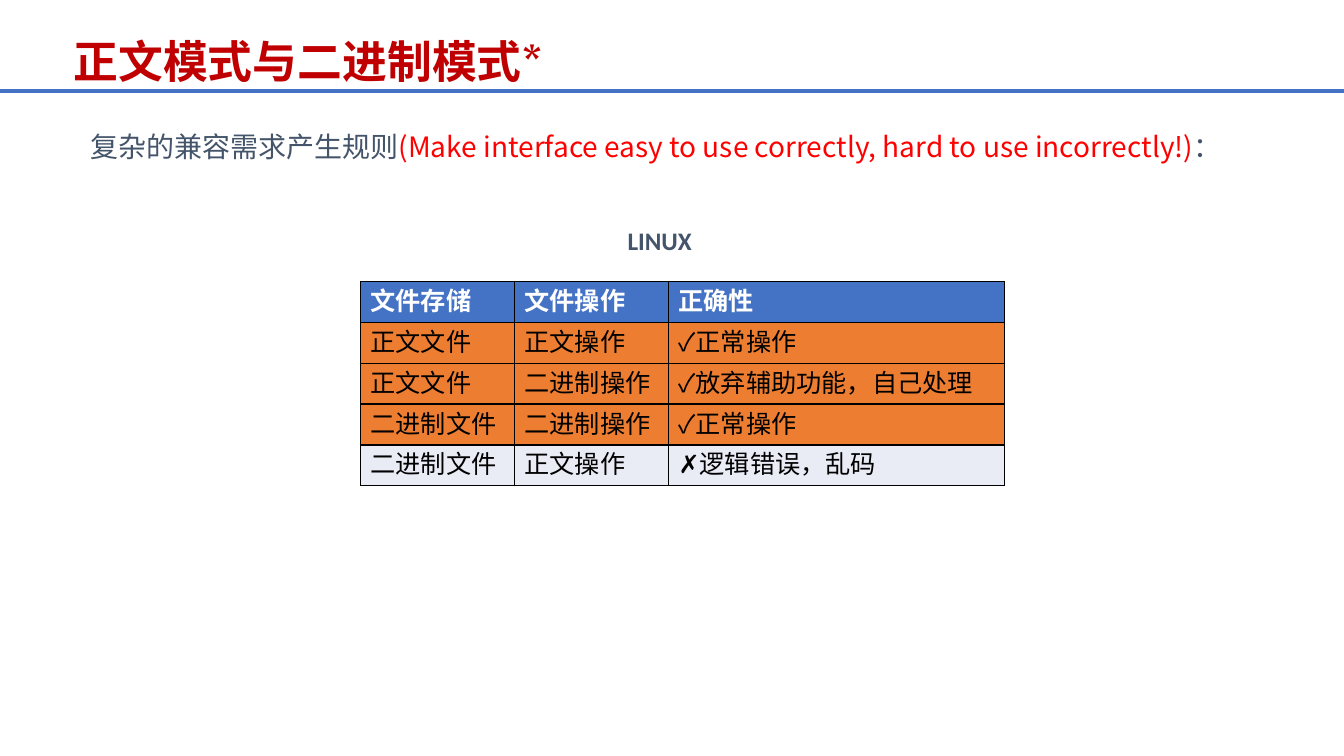
from pptx import Presentation
from pptx.dml.color import RGBColor
from pptx.enum.shapes import MSO_CONNECTOR
from pptx.enum.text import MSO_ANCHOR, PP_ALIGN
from pptx.oxml import parse_xml
from pptx.oxml.ns import nsdecls
from pptx.util import Pt

BLUE, SLATE, ORANGE = "4472C4", "44546A", "ED7D31"


def color(code):
    return RGBColor.from_string(code)


def write(frame, *runs, size=18, face="Calibri", bold=False,
          align=PP_ALIGN.LEFT, anchor=MSO_ANCHOR.TOP):
    frame.word_wrap = True
    frame.vertical_anchor = anchor
    para = frame.paragraphs[0]
    para.alignment = align
    for text, code in runs:
        run = para.add_run()
        run.text = text
        font = run.font
        font.size, font.name, font.bold = Pt(size), face, bold
        font.color.rgb = color(code)
        # East Asian text uses the same face
        run._r.get_or_add_rPr().append(
            parse_xml(f'<a:ea {nsdecls("a")} typeface="{face}"/>'))


deck = Presentation()
deck.slide_width, deck.slide_height = Pt(960), Pt(540)
slide = deck.slides.add_slide(deck.slide_layouts[6])
shapes = slide.shapes

# Rule below the title
rule = shapes.add_connector(MSO_CONNECTOR.STRAIGHT, Pt(0), Pt(65), Pt(960), Pt(65))
rule.line.color.rgb = color(BLUE)
rule.line.width = Pt(2.25)
rule._element.spPr.append(parse_xml(f'<a:effectLst {nsdecls("a")}/>'))

# Title, lead sentence and table heading
title = shapes.add_textbox(Pt(45.4), Pt(20.9), Pt(782), Pt(45.4))
write(title.text_frame, ("正文模式与二进制模式*", "C00000"), size=32,
      face="Cabin", bold=True, anchor=MSO_ANCHOR.BOTTOM)

lead = shapes.add_textbox(Pt(57.3), Pt(89.3), Pt(846), Pt(31.7))
write(lead.text_frame, ("复杂的兼容需求产生规则", SLATE),
      ("(Make interface easy to use correctly, hard to use incorrectly!)", "FF0000"),
      ("：", SLATE), size=20, face="Noto Sans CJK SC")

head = shapes.add_textbox(Pt(397.4), Pt(157.7), Pt(147.6), Pt(36))
write(head.text_frame, ("LINUX", SLATE), bold=True, align=PP_ALIGN.CENTER)

# Table: texts, fill of each row
rows = [
    (("文件存储", "文件操作", "正确性"), BLUE),
    (("正文文件", "正文操作", "✓正常操作"), ORANGE),
    (("正文文件", "二进制操作", "✓放弃辅助功能，自己处理"), ORANGE),
    (("二进制文件", "二进制操作", "✓正常操作"), ORANGE),
    (("二进制文件", "正文操作", "✗逻辑错误，乱码"), "E9EBF5"),
]
widths = [110, 110, 240]
high = 29.2
grid = shapes.add_table(len(rows), len(widths), Pt(257.5), Pt(201),
                        Pt(sum(widths)), Pt(high * len(rows))).table
for col, width in zip(grid.columns, widths):
    col.width = Pt(width)

for r, (texts, fill) in enumerate(rows):
    grid.rows[r].height = Pt(high)
    top = r == 0
    for c, text in enumerate(texts):
        cell = grid.cell(r, c)
        write(cell.text_frame, (text, "FFFFFF" if top else "000000"), bold=top)
        # Borders go before the fill
        props = cell._tc.get_or_add_tcPr()
        for side in ("lnL", "lnR", "lnT", "lnB"):
            props.append(parse_xml(
                f'<a:{side} {nsdecls("a")} w="{Pt(1)}"><a:solidFill>'
                f'<a:srgbClr val="000000"/></a:solidFill></a:{side}>'))
        cell.fill.solid()
        cell.fill.fore_color.rgb = color(fill)

deck.save("out.pptx")
